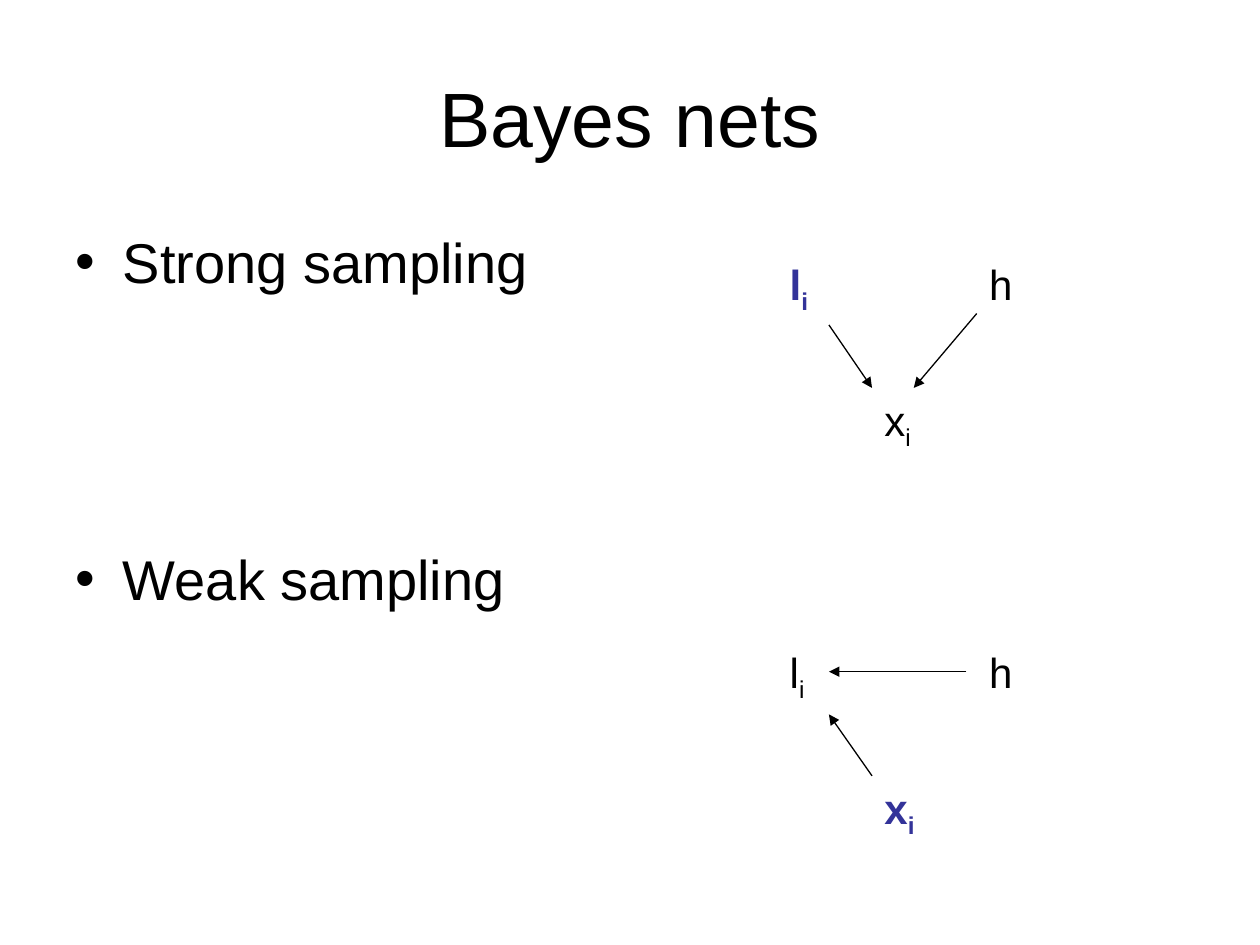
from dataclasses import dataclass

from lxml import etree
from pptx import Presentation
from pptx.dml.color import RGBColor
from pptx.enum.shapes import MSO_CONNECTOR
from pptx.enum.text import MSO_ANCHOR, MSO_AUTO_SIZE, PP_ALIGN
from pptx.oxml.ns import qn
from pptx.slide import Slide
from pptx.util import Cm, Pt

LINE = MSO_CONNECTOR.STRAIGHT
MIDDLE = MSO_ANCHOR.MIDDLE
TOP = MSO_ANCHOR.TOP
FIXED = MSO_AUTO_SIZE.NONE
GROW = MSO_AUTO_SIZE.SHAPE_TO_FIT_TEXT
LEFT = PP_ALIGN.LEFT
CENTER = PP_ALIGN.CENTER

HUES = {"ink": "000000", "seen": "333399"}
FACE = "Arial"


@dataclass
class Node:
    text: str
    left: float
    drop: float
    width: float = 1.07
    sub: str = ""


@dataclass
class Arrow:
    start: tuple[float, float]
    end: tuple[float, float]


@dataclass
class Net:
    top: float
    seen: str
    arrows: list[Arrow]


NODES = [
    Node("l", 15.67, 0, sub="i"),
    Node("x", 17.58, 2.74, 1.7, "i"),
    Node("h", 19.69, 0),
]
NETS = [
    Net(5.08, "l", [
        Arrow((16.71, 1.47), (17.58, 2.74)),
        Arrow((19.69, 1.24), (18.42, 2.74)),
    ]),
    Net(12.9, "x", [
        Arrow((17.58, 2.74), (16.71, 1.5)),
        Arrow((19.48, 0.64), (16.71, 0.64)),
    ]),
]


def write(para, text: str, *, size: float, hue: str = "ink",
          bold: bool = False, sub: bool = False) -> None:
    run = para.add_run()
    run.text = text
    font = run.font
    font.name, font.size, font.bold = FACE, Pt(size), bold
    font.color.rgb = RGBColor.from_string(HUES[hue])
    if sub:
        run._r.get_or_add_rPr().set("baseline", "-25000")


def place(shape, left: float, top: float, width: float, height: float) -> None:
    shape.left, shape.top = Cm(left), Cm(top)
    shape.width, shape.height = Cm(width), Cm(height)


def draw_title(slide: Slide, text: str) -> None:
    title = slide.shapes.title
    place(title, 1.27, 0.76, 22.86, 3.18)
    frame = title.text_frame
    frame.auto_size, frame.vertical_anchor = FIXED, MIDDLE
    para = frame.paragraphs[0]
    para.alignment = CENTER
    write(para, text, size=44)


def draw_list(slide: Slide, items: list[str], gap: float) -> None:
    body = slide.placeholders[1]
    place(body, 1.27, 4.45, 10.16, 12.57)
    frame = body.text_frame
    frame.auto_size, frame.vertical_anchor = FIXED, TOP
    for num, item in enumerate(items):
        para = frame.add_paragraph() if num else frame.paragraphs[0]
        para.alignment = LEFT
        para.space_before = Pt(gap if num else 0)
        write(para, item, size=32)


def draw_node(slide: Slide, node: Node, top: float, seen: bool) -> None:
    box = slide.shapes.add_textbox(
        Cm(node.left), Cm(top + node.drop), Cm(node.width), Cm(1.3))
    frame = box.text_frame
    frame.word_wrap, frame.auto_size = True, GROW
    para = frame.paragraphs[0]
    hue = "seen" if seen else "ink"
    write(para, node.text, size=24, hue=hue, bold=seen)
    if node.sub:
        write(para, node.sub, size=24, hue=hue, bold=seen, sub=True)


def draw_arrow(slide: Slide, arrow: Arrow, top: float) -> None:
    (x1, y1), (x2, y2) = arrow.start, arrow.end
    line = slide.shapes.add_connector(
        LINE, Cm(x1), Cm(top + y1), Cm(x2), Cm(top + y2))
    line.line.width = Pt(0.75)
    line.line.color.rgb = RGBColor.from_string(HUES["ink"])
    etree.SubElement(line.line._get_or_add_ln(), qn("a:tailEnd"), type="triangle")
    etree.SubElement(line._element.spPr, qn("a:effectLst"))


def main() -> None:
    deck = Presentation()
    deck.slide_width, deck.slide_height = Cm(25.4), Cm(19.05)
    slide = deck.slides.add_slide(deck.slide_layouts[1])
    draw_title(slide, "Bayes nets")
    draw_list(slide, ["Strong sampling", "Weak sampling"], gap=143)
    for net in NETS:
        for node in NODES:
            draw_node(slide, node, net.top, node.text == net.seen)
        for arrow in net.arrows:
            draw_arrow(slide, arrow, net.top)
    deck.save("out.pptx")


if __name__ == "__main__":
    main()
